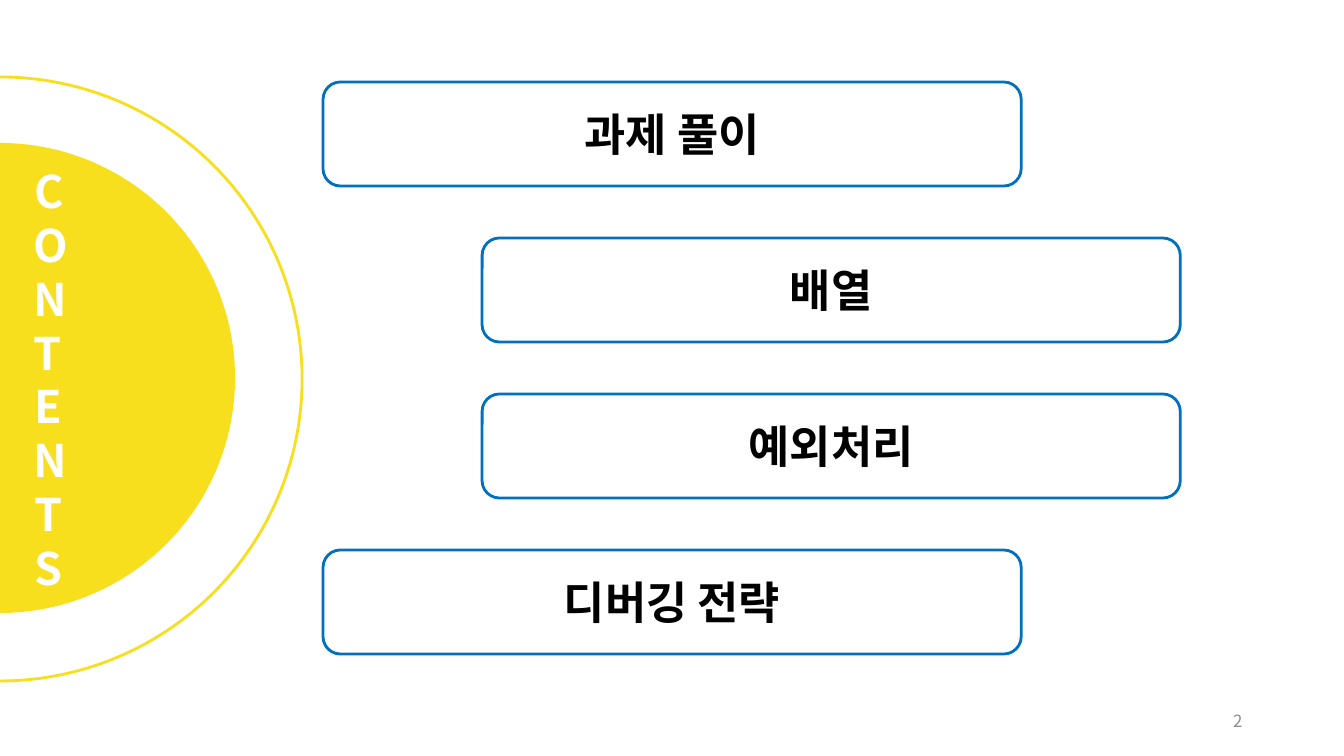
from pptx import Presentation, util as u
from pptx.dml.color import RGBColor
from pptx.enum import shapes, text

PX = 914400 / 100.8
FONT = "Noto Sans CJK KR"
COLORS = {"yellow": "F7DF1E", "blue": "0070C0", "white": "FFFFFF",
          "black": "000000", "gray": "8C8C8C"}
ALIGN = text.PP_ALIGN
ANCHOR = text.MSO_ANCHOR


class Deck:
    """Draws styled elements on the current slide, in pixels."""

    def __init__(self, width, height):
        self.prs = Presentation()
        self.prs.slide_width = u.Inches(width)
        self.prs.slide_height = u.Inches(height)
        self.s = self.prs.slides.add_slide(self.prs.slide_layouts[6])

    def emu(self, *lengths):
        return [u.Emu(round(n * PX)) for n in lengths]

    def color(self, name):
        return RGBColor.from_string(COLORS[name])

    def shape(self, kind, box, fill=None, line=None):
        sp = self.s.shapes.add_shape(kind, *self.emu(*box))
        sp.shadow.inherit = False
        if fill:
            sp.fill.solid()
            sp.fill.fore_color.rgb = self.color(fill)
        else:
            sp.fill.background()
        if line:
            sp.line.color.rgb = self.color(line)
            sp.line.width = u.Pt(2)
        else:
            sp.line.fill.background()
        return sp

    def circle(self, center_y, radius, **style):
        box = (-radius, center_y - radius, 2 * radius, 2 * radius)
        return self.shape(shapes.MSO_SHAPE.OVAL, box, **style)

    def add_words(self, sp, words, size, color, bold=True, align=ALIGN.CENTER,
                  anchor=ANCHOR.MIDDLE):
        tf = sp.text_frame
        tf.word_wrap = True
        tf.vertical_anchor = anchor
        p = tf.paragraphs[0]
        p.alignment = align
        r = p.add_run()
        r.text = words
        r.font.name = FONT
        r.font.size = u.Pt(size)
        r.font.bold = bold
        r.font.color.rgb = self.color(color)
        return p

    def label(self, box, words, size, color, **style):
        sp = self.s.shapes.add_textbox(*self.emu(*box))
        return self.add_words(sp, words, size, color, **style)

    def topic(self, box, words):
        sp = self.shape(shapes.MSO_SHAPE.ROUNDED_RECTANGLE, box, "white", "blue")
        self.add_words(sp, words, 32, "black")


deck = Deck(13.33, 7.5)
deck.circle(378, 235, fill="yellow")
title = deck.label((24, 159, 48, 444), "CONTENTS", 32, "white", anchor=ANCHOR.TOP)
title.line_spacing = u.Pt(38.4)
deck.circle(379, 302, line="yellow")

topics = [(323, "과제 풀이"), (482, "배열"), (482, "예외처리"), (323, "디버깅 전략")]
for i, (left, words) in enumerate(topics):
    deck.topic((left, 82 + 156 * i, 698, 104), words)

deck.label((950, 701, 302, 40), "2", 12, "gray", bold=False, align=ALIGN.RIGHT)
deck.prs.save("out.pptx")
